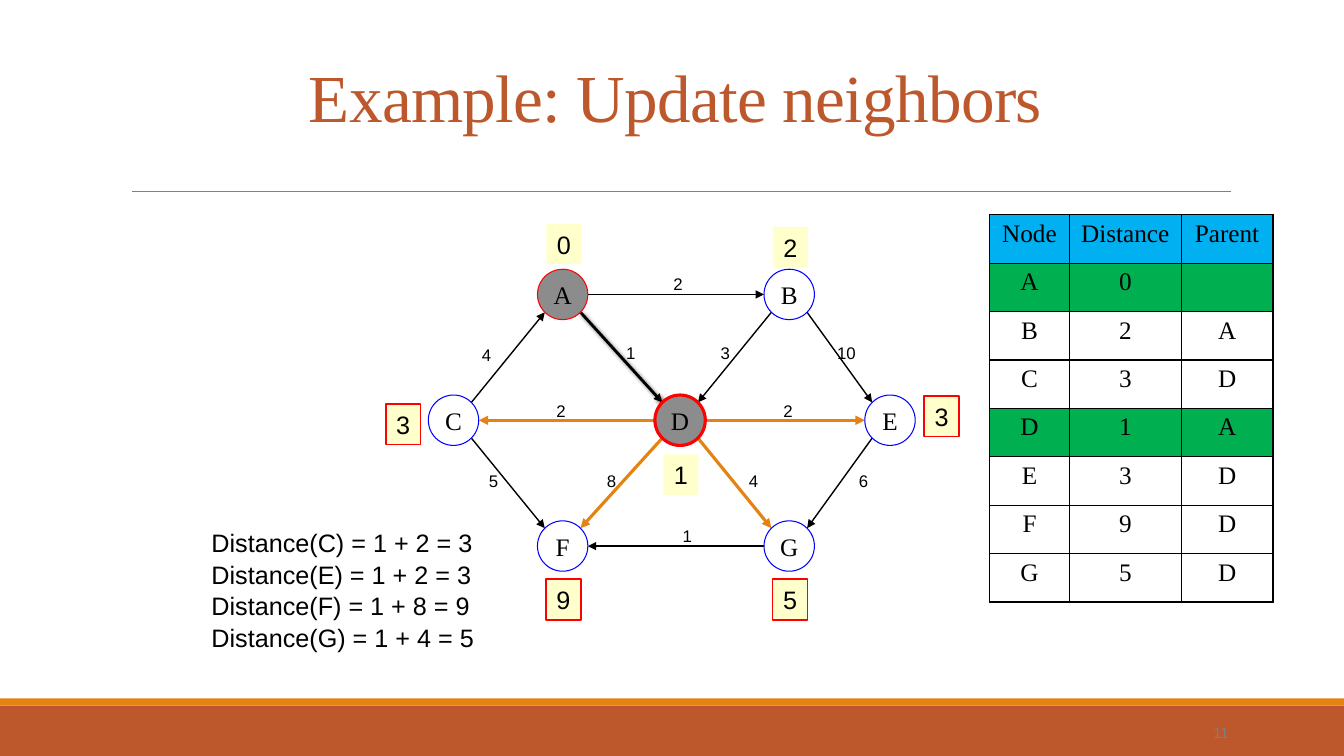
from dataclasses import dataclass

from lxml.etree import SubElement
from pptx import Presentation
from pptx.dml.color import RGBColor
from pptx.enum.shapes import MSO_CONNECTOR, MSO_SHAPE
from pptx.enum.text import MSO_ANCHOR, PP_ALIGN
from pptx.oxml.ns import qn
from pptx.util import Cm, Pt


@dataclass(frozen=True)
class Theme:
    """Colours, fonts and type sizes of the deck."""
    rust: str = "BD582C"
    orange: str = "E48312"
    grey: str = "808080"
    visited: str = "8C8C8C"
    black: str = "000000"
    red: str = "FF0000"
    blue: str = "0000FF"
    cream: str = "FFFFCC"
    header: str = "00B0F0"
    done: str = "00B050"
    serif: str = "Times New Roman"
    sans: str = "Arial"
    title: float = 48
    body: float = 18
    label: float = 12
    number: float = 10.5


T = Theme()
DIAMETER = 1.27
NODES = {"A": (3.39, 0.64), "B": (9.1, 0.64), "C": (0.64, 3.81), "D": (6.35, 3.81),
         "E": (11.64, 3.81), "F": (3.39, 6.98), "G": (9.1, 6.98)}
VISITED = "AD"
EDGES = [("A", "B", "2", 6.3, 0.38), ("A", "D", "1", 5.11, 2.11),
         ("B", "D", "3", 7.49, 2.11), ("B", "E", "10", 10.54, 2.11),
         ("C", "A", "4", 1.47, 2.16), ("C", "F", "5", 1.65, 5.33),
         ("D", "C", "2", 3.35, 3.56), ("D", "E", "2", 9.07, 3.56),
         ("D", "F", "8", 4.62, 5.33), ("D", "G", "4", 8.2, 5.33),
         ("E", "G", "6", 10.97, 5.33), ("G", "F", "1", 6.53, 6.73)]
BADGES = [("A", "0", 0.03, -1.27), ("B", "2", 0.03, -1.19), ("C", "3", -1.27, 0.1),
          ("D", "1", 0.02, 1.37), ("E", "3", 1.3, -0.1), ("F", "9", 0.02, 1.35),
          ("G", "5", 0.02, 1.35)]
UPDATED = "CEFG"
ROWS = [("Node", "Distance", "Parent"), ("A", "0", ""), ("B", "2", "A"), ("C", "3", "D"),
        ("D", "1", "A"), ("E", "3", "D"), ("F", "9", "D"), ("G", "5", "D")]
SUMS = ["Distance(C) = 1 + 2 = 3", "Distance(E) = 1 + 2 = 3",
        "Distance(F) = 1 + 8 = 9", "Distance(G) = 1 + 4 = 5"]


def rgb(color):
    """Return the RGBColor of a hex string."""
    return RGBColor.from_string(color)


def style(p, size, font, color=T.black, align=PP_ALIGN.CENTER):
    """Set the font and alignment of a paragraph."""
    p.alignment = align
    p.font.size = Pt(size)
    p.font.name = font
    p.font.bold = False
    p.font.color.rgb = rgb(color)


def add_block(s, kind, x, y, w, h, fill=None, line=None, weight=1.0):
    """Add a flat preset shape."""
    sp = s.shapes.add_shape(kind, Cm(x), Cm(y), Cm(w), Cm(h))
    sp.shadow.inherit = False
    if fill:
        sp.fill.solid()
        sp.fill.fore_color.rgb = rgb(fill)
    else:
        sp.fill.background()
    if line:
        sp.line.color.rgb = rgb(line)
        sp.line.width = Pt(weight)
    else:
        sp.line.fill.background()
    return sp


def write(sp, text, size, font, color=T.black):
    """Put one centred, unwrapped line into a shape."""
    tf = sp.text_frame
    tf.word_wrap = False
    tf.vertical_anchor = MSO_ANCHOR.MIDDLE
    tf.text = text
    style(tf.paragraphs[0], size, font, color)


def add_line(s, x1, y1, x2, y2, color, weight, arrow=False, shadow=False):
    """Add a straight line with an optional arrowhead and shadow."""
    c = s.shapes.add_connector(MSO_CONNECTOR.STRAIGHT, Cm(x1), Cm(y1), Cm(x2), Cm(y2))
    c.line.color.rgb = rgb(color)
    c.line.width = Pt(weight)
    if arrow:
        SubElement(c.line._get_or_add_ln(), qn("a:tailEnd"), type="triangle")
    effects = SubElement(c._element.spPr, qn("a:effectLst"))
    if shadow:
        sh = SubElement(effects, qn("a:outerShdw"), blurRad=str(Pt(3)), dist=str(Pt(2)),
                        dir="2700000", algn="tl", rotWithShape="0")
        clr = SubElement(sh, qn("a:srgbClr"), val=T.black)
        SubElement(clr, qn("a:alpha"), val="60000")


def add_frame(s, w, h):
    """Draw the footer bands, the title rule and the page number."""
    add_block(s, MSO_SHAPE.RECTANGLE, 0, h - 1.27, w, 1.27, T.rust)
    add_block(s, MSO_SHAPE.RECTANGLE, 0, h - 1.45, w, 0.18, T.orange)
    add_line(s, 3.33, 4.83, 31.01, 4.83, T.grey, 0.5)
    number = s.shapes.add_textbox(Cm(w - 3.8), Cm(h - 1.09), Cm(1.4), Cm(1))
    write(number, "11", T.number, T.sans, T.grey)


def add_title(s, x, y, w, h):
    """Place and format the title placeholder."""
    sp = s.shapes.title
    sp.left, sp.top, sp.width, sp.height = Cm(x), Cm(y), Cm(w), Cm(h)
    write(sp, "Example: Update neighbors", T.title, T.serif, T.rust)
    sp.text_frame.word_wrap = True
    sp.text_frame.vertical_anchor = MSO_ANCHOR.BOTTOM
    p = sp.text_frame.paragraphs[0]
    p.line_spacing = 0.85
    p.runs[0]._r.get_or_add_rPr().set("spc", "-50")


def edge_ends(start, end):
    """Return the two rim points that join a pair of nodes."""
    (x1, y1), (x2, y2) = NODES[start], NODES[end]
    sx, sy = (x2 > x1) - (x2 < x1), (y2 > y1) - (y2 < y1)
    reach = DIAMETER / 2 * (0.71 if sx and sy else 1)
    return x1 + sx * reach, y1 + sy * reach, x2 - sx * reach, y2 - sy * reach


def add_graph(s, x, y):
    """Draw the weighted graph from its top left corner."""
    for start, end, weight, lx, ly in EDGES:
        x1, y1, x2, y2 = edge_ends(start, end)
        tree = (start, end) == ("A", "D")
        color, width = (T.orange, 2.25) if start == "D" else (T.black, 2 if tree else 1)
        add_line(s, x + x1, y + y1, x + x2, y + y2, color, width, True, tree)
        label = s.shapes.add_textbox(Cm(x + lx - 0.5), Cm(y + ly - 0.38), Cm(1), Cm(0.76))
        write(label, weight, T.label, T.sans)
    for name, (cx, cy) in NODES.items():
        node = add_block(s, MSO_SHAPE.OVAL, x + cx - DIAMETER / 2, y + cy - DIAMETER / 2,
                         DIAMETER, DIAMETER, T.visited if name in VISITED else None,
                         T.red if name in VISITED else T.blue, 2.25 if name == "D" else 0.75)
        write(node, name, T.body, T.serif)
    for name, value, dx, dy in BADGES:
        cx, cy = NODES[name]
        badge = add_block(s, MSO_SHAPE.RECTANGLE, x + cx + dx - 0.44, y + cy + dy - 0.51,
                          0.88, 1.02, T.cream, T.red if name in UPDATED else None, 1.25)
        write(badge, value, T.body, T.sans)


def add_sums(s, x, y, w, h):
    """List the distance calculations."""
    tf = s.shapes.add_textbox(Cm(x), Cm(y), Cm(w), Cm(h)).text_frame
    tf.word_wrap = True
    tf.text = "\n".join(SUMS)
    for p in tf.paragraphs:
        p.line_spacing = 1.05
        style(p, T.body, T.sans, align=PP_ALIGN.LEFT)


def add_distances(s, x, y, widths, row_height):
    """Add the table of distances and parents."""
    tbl = s.shapes.add_table(len(ROWS), len(widths), Cm(x), Cm(y), Cm(sum(widths)),
                             Cm(row_height * len(ROWS))).table
    tbl.first_row = tbl.horz_banding = False
    for col, w in zip(tbl.columns, widths):
        col.width = Cm(w)
    for i, row in enumerate(ROWS):
        fill = T.header if i == 0 else T.done if row[0] in VISITED else None
        for j, text in enumerate(row):
            cell = tbl.cell(i, j)
            for side in ("lnL", "lnR", "lnT", "lnB"):
                ln = SubElement(cell._tc.get_or_add_tcPr(), qn(f"a:{side}"), w=str(Pt(1)))
                SubElement(SubElement(ln, qn("a:solidFill")), qn("a:srgbClr"), val=T.black)
            if fill:
                cell.fill.solid()
                cell.fill.fore_color.rgb = rgb(fill)
            else:
                cell.fill.background()
            cell.text = text
            style(cell.text_frame.paragraphs[0], T.body, T.serif)


def main():
    """Build and save the slide."""
    prs = Presentation()
    prs.slide_width, prs.slide_height = Cm(33.87), Cm(19.05)
    s = prs.slides.add_slide(prs.slide_layouts[5])
    add_frame(s, 33.87, 19.05)
    add_title(s, 3.05, 1.27, 27.94, 2.29)
    add_graph(s, 10.79, 6.78)
    add_sums(s, 5.08, 13.12, 7.57, 3.33)
    add_distances(s, 24.94, 5.41, (2.01, 2.82, 2.31), 1.22)
    prs.save("out.pptx")


if __name__ == "__main__":
    main()
